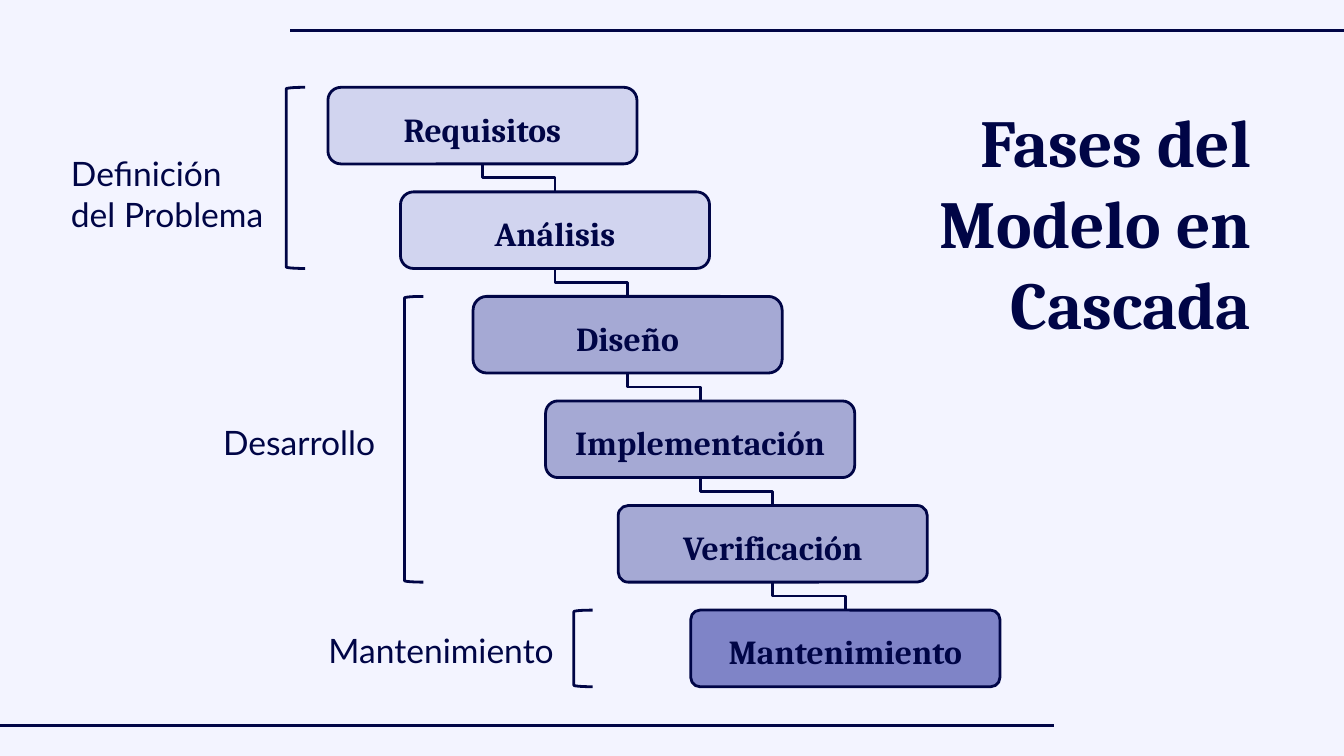
"""Builds a slide showing the phases of the waterfall model as descending steps."""
from lxml.etree import SubElement
from pptx import Presentation
from pptx.dml.color import RGBColor
from pptx.enum.shapes import MSO_CONNECTOR as Connector, MSO_SHAPE as Shape
from pptx.enum.text import MSO_ANCHOR as Anchor, MSO_AUTO_SIZE as AutoSize, PP_ALIGN as Align
from pptx.oxml.ns import qn
from pptx.util import Inches, Pt

COLORS = {
    "page": "F3F4FF",
    "ink": "000546",
    "definition": "D1D4EF",
    "development": "A5A9D4",
    "maintenance": "7F84C7",
}
TITLE = "Fases del Modelo en Cascada"
PHASES = [
    ("Requisitos", "definition", 0.17),
    ("Análisis", "definition", 0.17),
    ("Diseño", "development", 0.18),
    ("Implementación", "development", 0.16),
    ("Verificación", "development", 0.13),
    ("Mantenimiento", "maintenance", 0.12),
]
STAGES = [
    ("Definición del Problema", Align.LEFT, (0.43, 1.04, 1.7, 0.68), 2.13, 0, 1),
    ("Desarrollo", Align.RIGHT, (1.19, 3.04, 1.7, 0.47), 3.01, 2, 4),
    ("Mantenimiento", Align.RIGHT, (2.19, 4.59, 2.03, 0.47), 4.27, 5, 5),
]
RULES = [(10, 0.23, 2.16, 0.23), (7.84, 5.4, 0, 5.4)]
PAGE_WIDTH, PAGE_HEIGHT = 10, 10 * 9 / 16
LEFT, TOP = 2.44, 0.65
WIDTH, HEIGHT = 2.3, 0.57
STEP_X, STEP_Y = 0.54, (4.54 - TOP) / (len(PHASES) - 1)
BRACKET_WIDTH = 0.14


def color(name):
    return RGBColor.from_string(COLORS[name])


def inches(*values):
    return [Inches(value) for value in values]


def outline(item):
    item.line.color.rgb = color("ink")
    item.line.width = Pt(1.5)


def write(box, text, size, font, align, bold=False, anchor=Anchor.TOP):
    frame = box.text_frame
    frame.text = text
    frame.word_wrap = True
    frame.auto_size = AutoSize.NONE
    frame.vertical_anchor = anchor
    frame.margin_left = frame.margin_right = Inches(0.1)
    frame.margin_top = frame.margin_bottom = Inches(0.1)
    para = frame.paragraphs[0]
    para.alignment = align
    para.font.size = Pt(size)
    para.font.name = font
    para.font.bold = bold
    para.font.color.rgb = color("ink")
    return para


def add_line(page, kind, ends):
    line = page.shapes.add_connector(kind, *inches(*ends))
    outline(line)
    SubElement(line._element.spPr, qn("a:effectLst"))
    return line


def add_phase(page, index, name, fill, corner):
    place = inches(LEFT + index * STEP_X, TOP + index * STEP_Y, WIDTH, HEIGHT)
    box = page.shapes.add_shape(Shape.ROUNDED_RECTANGLE, *place)
    box.adjustments[0] = corner
    box.shadow.inherit = False
    box.fill.solid()
    box.fill.fore_color.rgb = color(fill)
    outline(box)
    para = write(box, name, 18, "Cambria", Align.CENTER, True, Anchor.MIDDLE)
    para.line_spacing = 1.15
    return box


def join(page, upper, lower):
    start_x, start_y = upper.left + upper.width // 2, upper.top + upper.height
    end_x, end_y = lower.left + lower.width // 2, lower.top
    ends = [value / Inches(1) for value in (start_x, start_y, end_x, end_y)]
    elbow = add_line(page, Connector.ELBOW, ends)
    elbow.begin_connect(upper, 2)
    elbow.end_connect(lower, 0)
    run, drop = end_x - start_x, end_y - start_y
    elbow.left = (start_x + end_x - drop) // 2
    elbow.top = (start_y + end_y - run) // 2
    elbow.width, elbow.height = drop, run
    frame = elbow._element.spPr.find(qn("a:xfrm"))
    frame.set("rot", str(270 * 60000))
    frame.set("flipH", "1")


def add_stage(page, name, align, place, bracket_left, first, last):
    height = (last - first) * STEP_Y + HEIGHT
    spot = inches(bracket_left, TOP + first * STEP_Y, BRACKET_WIDTH, height)
    bracket = page.shapes.add_shape(Shape.LEFT_BRACKET, *spot)
    bracket.adjustments[0] = 0.08
    bracket.shadow.inherit = False
    bracket.fill.background()
    outline(bracket)
    label = page.shapes.add_textbox(*inches(*place))
    write(label, name, 18, "Lato", align).space_after = Pt(16)


def main():
    deck = Presentation()
    deck.slide_width, deck.slide_height = inches(PAGE_WIDTH, PAGE_HEIGHT)
    page = deck.slides.add_slide(deck.slide_layouts[5])
    page.background.fill.solid()
    page.background.fill.fore_color.rgb = color("page")
    for ends in RULES:
        add_line(page, Connector.STRAIGHT, ends)
    title = page.shapes.title
    title.left, title.top, title.width, title.height = inches(6.32, 0.65, 3.09, 2)
    write(title, TITLE, 36, "Cambria", Align.RIGHT, True)
    boxes = [add_phase(page, index, *phase) for index, phase in enumerate(PHASES)]
    for upper, lower in zip(boxes, boxes[1:]):
        join(page, upper, lower)
    for stage in STAGES:
        add_stage(page, *stage)
    deck.save("out.pptx")


if __name__ == "__main__":
    main()
